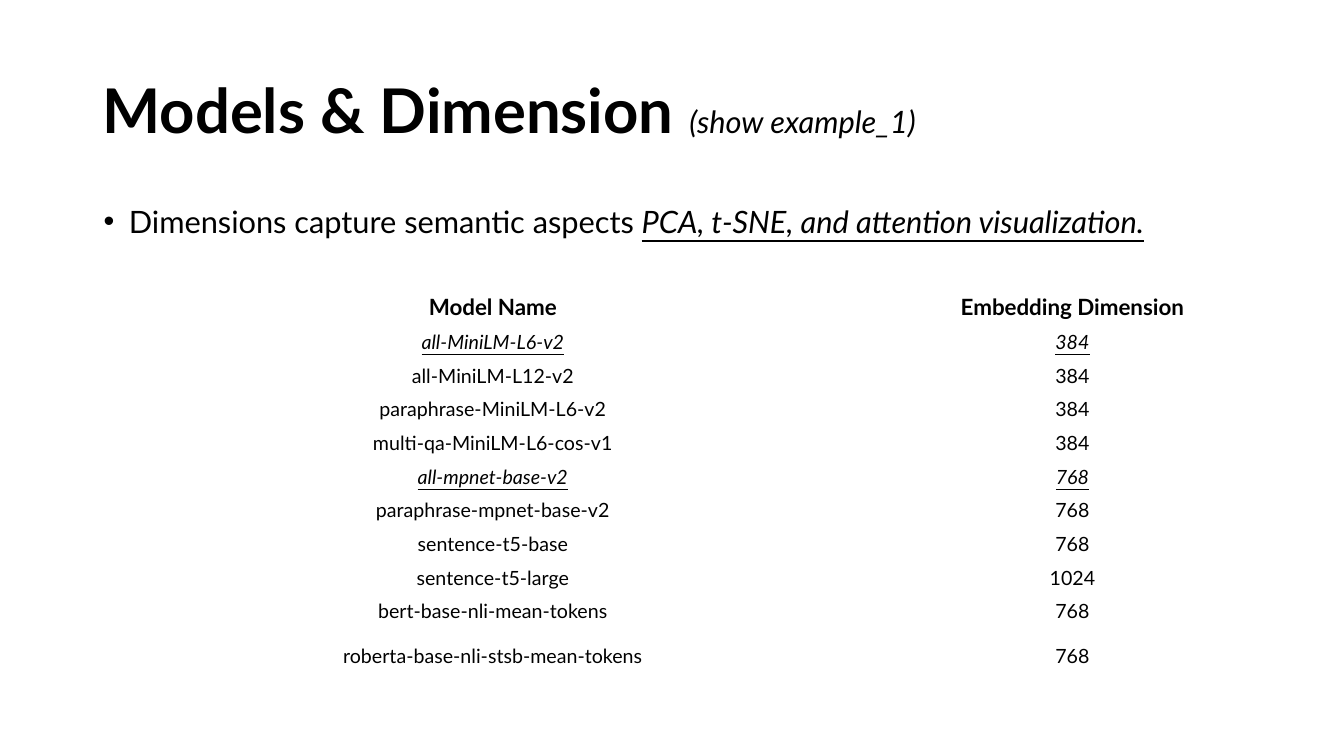
from dataclasses import dataclass

from lxml.etree import SubElement
from pptx import Presentation
from pptx.dml.color import RGBColor
from pptx.enum.text import MSO_ANCHOR, MSO_AUTO_SIZE, PP_ALIGN
from pptx.oxml.ns import qn
from pptx.slide import Slide
from pptx.text.text import _Paragraph as Paragraph
from pptx.util import Pt

BLACK = RGBColor(0x00, 0x00, 0x00)
WHITE = RGBColor(0xFF, 0xFF, 0xFF)
FONT = "Lato"
CONTENT_LEFT, CONTENT_WIDTH = 66.96, 828
COLUMN_WIDTHS = (570.24, 257.76)
HEADER_HEIGHT, ROW_HEIGHT, LAST_ROW_HEIGHT = 26.4, 24, 40.3

PLAIN = {"bold": False, "italic": False, "underline": False}
BOLD = PLAIN | {"bold": True}
ITALIC = PLAIN | {"italic": True}
EMPHASIS = ITALIC | {"underline": True}


@dataclass(frozen=True)
class Span:
    text: str
    size: float
    style: dict[str, bool]


@dataclass(frozen=True)
class Model:
    name: str
    dimension: int
    featured: bool = False


MODELS = (
    Model("all-MiniLM-L6-v2", 384, featured=True),
    Model("all-MiniLM-L12-v2", 384),
    Model("paraphrase-MiniLM-L6-v2", 384),
    Model("multi-qa-MiniLM-L6-cos-v1", 384),
    Model("all-mpnet-base-v2", 768, featured=True),
    Model("paraphrase-mpnet-base-v2", 768),
    Model("sentence-t5-base", 768),
    Model("sentence-t5-large", 1024),
    Model("bert-base-nli-mean-tokens", 768),
    Model("roberta-base-nli-stsb-mean-tokens", 768),
)


def write_spans(para: Paragraph, *spans: Span) -> None:
    for span in spans:
        run = para.add_run()
        run.text = span.text
        font_format = {"name": FONT, "size": Pt(span.size)} | span.style
        for attribute, value in font_format.items():
            setattr(run.font, attribute, value)
        run.font.color.rgb = BLACK


def add_bullet(para: Paragraph, indent: float) -> None:
    properties = para._p.get_or_add_pPr()
    properties.set("marL", str(Pt(indent)))
    properties.set("indent", str(Pt(-indent)))
    SubElement(properties, qn("a:buFont")).set("typeface", "Arial")
    SubElement(properties, qn("a:buChar")).set("char", "•")


def write_title(page: Slide) -> None:
    title = page.shapes.title
    title.left, title.top, title.width, title.height = map(Pt, (66, 28.8, 828, 104.4))
    frame = title.text_frame
    frame.auto_size = MSO_AUTO_SIZE.NONE
    frame.vertical_anchor = MSO_ANCHOR.MIDDLE
    para = frame.paragraphs[0]
    para.alignment = PP_ALIGN.LEFT
    para.line_spacing = 0.9
    write_spans(para, Span("Models & Dimension ", 44, BOLD),
                Span("(show example_1)", 22, ITALIC))


def add_body(page: Slide) -> None:
    box = page.shapes.add_textbox(Pt(CONTENT_LEFT), Pt(144), Pt(CONTENT_WIDTH), Pt(342.72))
    box.text_frame.word_wrap = True
    para = box.text_frame.paragraphs[0]
    para.line_spacing = 0.9
    para.space_before = Pt(10)
    add_bullet(para, 18)
    write_spans(para, Span("Dimensions capture semantic aspects ", 22, PLAIN),
                Span("PCA, t-SNE, and attention visualization.", 22, EMPHASIS))


def add_model_table(page: Slide) -> None:
    rows = [[Span(text, 16, BOLD) for text in ("Model Name", "Embedding Dimension")]]
    for model in MODELS:
        style = EMPHASIS if model.featured else PLAIN
        rows.append([Span(text, 14, style) for text in (model.name, str(model.dimension))])
    heights = [HEADER_HEIGHT] + [ROW_HEIGHT] * (len(MODELS) - 1) + [LAST_ROW_HEIGHT]

    table = page.shapes.add_table(len(rows), len(COLUMN_WIDTHS), Pt(CONTENT_LEFT), Pt(205.92),
                                  Pt(CONTENT_WIDTH), Pt(sum(heights))).table
    table.first_row = table.horz_banding = False
    for column, width in zip(table.columns, COLUMN_WIDTHS):
        column.width = Pt(width)
    for row, height, spans in zip(table.rows, heights, rows):
        row.height = Pt(height)
        for cell, span in zip(row.cells, spans):
            cell.fill.background()
            cell.vertical_anchor = MSO_ANCHOR.MIDDLE
            para = cell.text_frame.paragraphs[0]
            para.alignment = PP_ALIGN.CENTER
            write_spans(para, span)


def main() -> None:
    deck = Presentation()
    deck.slide_width, deck.slide_height = Pt(960), Pt(540)
    page = deck.slides.add_slide(deck.slide_layouts.get_by_name("Title Only"))
    page.background.fill.solid()
    page.background.fill.fore_color.rgb = WHITE
    write_title(page)
    add_body(page)
    add_model_table(page)
    deck.save("out.pptx")


if __name__ == "__main__":
    main()
